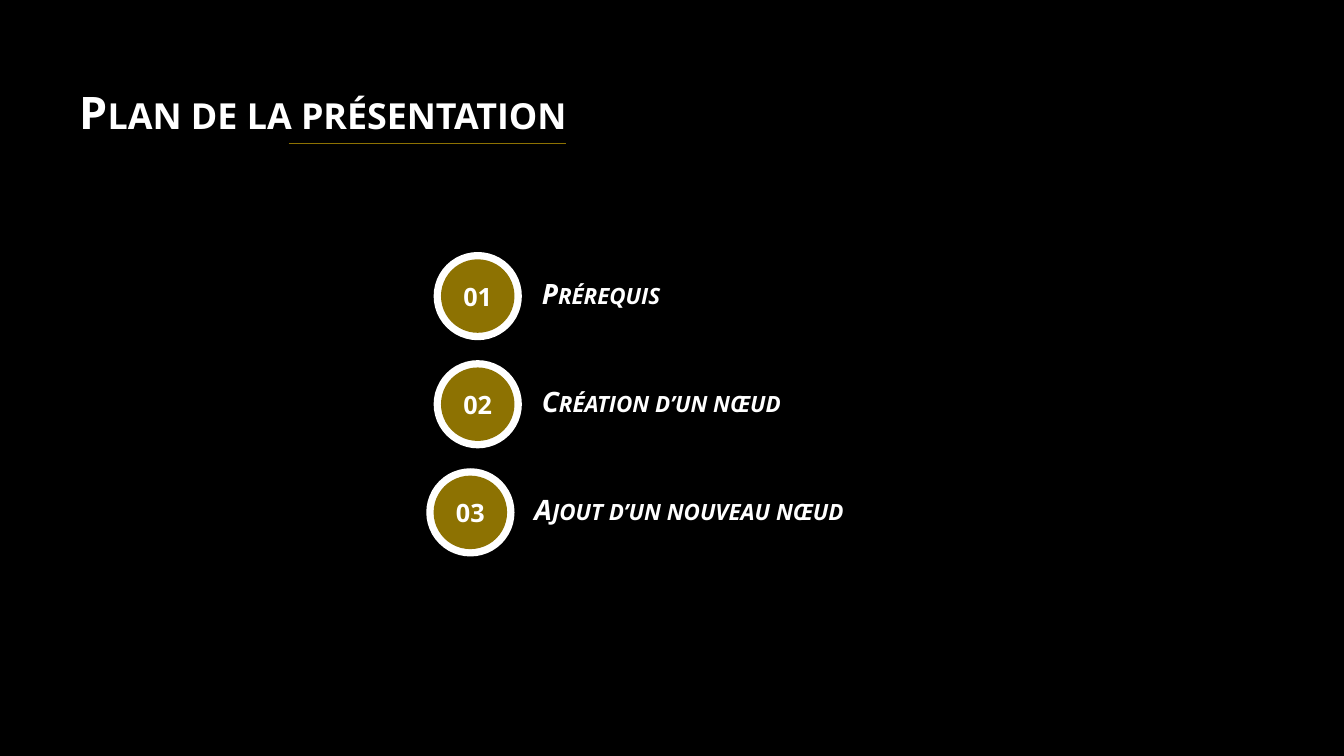
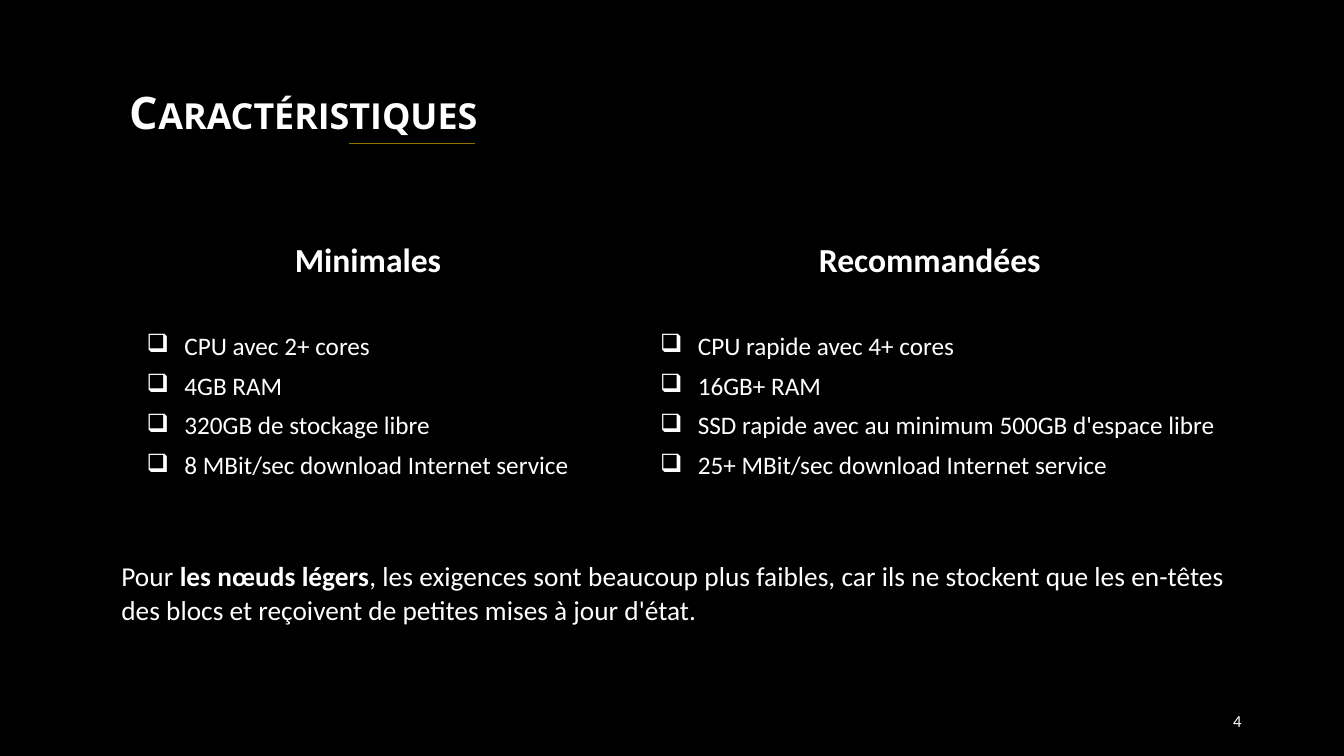
from collections import namedtuple
from dataclasses import dataclass

from lxml import etree
from pptx import Presentation
from pptx.dml.color import RGBColor
from pptx.enum.shapes import MSO_CONNECTOR, MSO_SHAPE
from pptx.enum.text import MSO_ANCHOR, MSO_AUTO_SIZE, PP_ALIGN
from pptx.oxml.ns import qn
from pptx.util import Emu, Pt

ELLIPSE = MSO_SHAPE.OVAL
STRAIGHT = MSO_CONNECTOR.STRAIGHT
TOP, MIDDLE = MSO_ANCHOR.TOP, MSO_ANCHOR.MIDDLE
LEFT, CENTER, RIGHT, JUSTIFY = PP_ALIGN.LEFT, PP_ALIGN.CENTER, PP_ALIGN.RIGHT, PP_ALIGN.JUSTIFY
GROW = MSO_AUTO_SIZE.SHAPE_TO_FIT_TEXT
NO_GRID_STYLE = "{2D5ABB26-0587-4C30-8999-92F81FD0307C}"

Box = namedtuple("Box", "left top width height")


@dataclass(frozen=True)
class Theme:
    night: RGBColor = RGBColor(0x00, 0x00, 0x00)
    white: RGBColor = RGBColor(0xFF, 0xFF, 0xFF)
    gold: RGBColor = RGBColor(0x8D, 0x72, 0x02)
    display: str = "Open Sans"
    body: str = "Calibri"
    rule: float = 0.75

    def font(self, size, name, bold=False, italic=False):
        return {"size": Pt(size), "name": name, "bold": bold, "italic": italic}


THEME = Theme()
TITLE = THEME.font(32, THEME.display, bold=True)
NUMBER = THEME.font(18, THEME.display, bold=True)
TOPIC = THEME.font(20, THEME.display, bold=True, italic=True)
HEADING = THEME.font(24, THEME.body, bold=True)
ITEM = THEME.font(18, THEME.body)
NOTE = THEME.font(19.5, THEME.body)
NOTE_STRONG = THEME.font(19.5, THEME.body, bold=True)
PAGE = THEME.font(12, THEME.body)

PLAN = ["Prérequis", "Création d’un nœud", "Ajout d’un nouveau nœud"]
REQUIREMENTS = [
    ("Minimales", [
        "CPU avec 2+ cores",
        "4GB RAM",
        "320GB de stockage libre",
        "8 MBit/sec download Internet service",
    ]),
    ("Recommandées", [
        "CPU rapide avec 4+ cores",
        "16GB+ RAM",
        "SSD rapide avec au minimum 500GB d'espace libre",
        "25+ MBit/sec download Internet service",
    ]),
]
LIGHT_NODES = [
    ("Pour ", NOTE),
    ("les nœuds légers", NOTE_STRONG),
    (", les exigences sont beaucoup plus faibles, car ils ne stockent que les en-têtes "
     "des blocs et reçoivent de petites mises à jour d'état.", NOTE),
]


def px(length):
    return Emu(length * 9525)


def emu(box):
    return [px(length) for length in box]


def apply(target, values):
    for attribute, value in values.items():
        setattr(target, attribute, value)


def write(paragraph, text, font, small_caps=False, **layout):
    run = paragraph.add_run()
    run.text = text
    apply(run.font, font)
    run.font.color.rgb = THEME.white
    if small_caps:
        run.font._element.set("cap", "small")
    apply(paragraph, layout)


def add_text(slide, box, text, font, anchor=TOP, inset=None, small_caps=False, grow=True, **layout):
    frame = slide.shapes.add_textbox(*emu(box)).text_frame
    apply(frame, {"word_wrap": True, "vertical_anchor": anchor})
    if grow:
        frame.auto_size = GROW
    if inset is not None:
        sides = ("margin_left", "margin_top", "margin_right", "margin_bottom")
        apply(frame, dict.fromkeys(sides, px(inset)))
    write(frame.paragraphs[0], text, font, small_caps, **layout)


def add_disc(slide, box, color):
    disc = slide.shapes.add_shape(ELLIPSE, *emu(box))
    disc.shadow.inherit = False
    disc.fill.solid()
    disc.fill.fore_color.rgb = color
    disc.line.fill.background()
    return disc


def add_slide(deck, title, title_width, rule_start, rule_end):
    slide = deck.slides.add_slide(deck.slide_layouts[6])
    slide.background.fill.solid()
    slide.background.fill.fore_color.rgb = THEME.night
    box = Box(0, 76, title_width, 61)
    add_text(slide, box, title, TITLE, small_caps=True, alignment=RIGHT)
    rule_top = box.top + box.height
    rule = slide.shapes.add_connector(
        STRAIGHT, *emu((rule_start, rule_top, rule_end, rule_top)))
    rule.line.color.rgb = THEME.gold
    rule.line.width = Pt(THEME.rule)
    etree.SubElement(rule._element.spPr, qn("a:effectLst"))
    return slide


def add_plan_entry(slide, box, number, topic):
    ring, border = 84, 7
    core = ring - 2 * border
    add_disc(slide, Box(box.left, box.top, ring, ring), THEME.white)
    disc = add_disc(slide, Box(box.left + border, box.top + border, core, core), THEME.gold)
    disc.text_frame.vertical_anchor = MIDDLE
    write(disc.text_frame.paragraphs[0], f"{number:02d}", NUMBER, alignment=CENTER)
    label = Box(box.left + 93, box.top + 17, box.width - 93, 48)
    add_text(slide, label, topic, TOPIC, MIDDLE, inset=10, small_caps=True,
             alignment=LEFT, line_spacing=0.9)


def add_checkbox(paragraph):
    properties = paragraph._p.get_or_add_pPr()
    properties.set("marL", str(px(60)))
    properties.set("indent", str(px(-36)))
    etree.SubElement(properties, qn("a:buChar")).set("char", "❑")


def fill_requirements(cell, heading, items):
    frame = cell.text_frame
    write(frame.paragraphs[0], heading, HEADING, alignment=CENTER, space_after=Pt(29))
    for item in items:
        paragraph = frame.add_paragraph()
        write(paragraph, item, ITEM, level=1, line_spacing=1.3)
        add_checkbox(paragraph)


def add_requirements(slide, box, first_column, first_row):
    table = slide.shapes.add_table(2, 2, *emu(box)).table
    apply(table, {"first_row": False, "horz_banding": False})
    table._tbl.tblPr.find(qn("a:tableStyleId")).text = NO_GRID_STYLE
    for column, width in zip(table.columns, (first_column, box.width - first_column)):
        column.width = px(width)
    for row, height in zip(table.rows, (first_row, box.height - first_row)):
        row.height = px(height)
    for cell in table.iter_cells():
        cell.fill.background()
    for column, (heading, items) in enumerate(REQUIREMENTS):
        fill_requirements(table.cell(0, column), heading, items)
    note = table.cell(1, 0)
    note.merge(table.cell(1, 1))
    note.margin_top = px(37)
    for text, font in LIGHT_NODES:
        write(note.text_frame.paragraphs[0], text, font, alignment=JUSTIFY)


def build_plan(deck):
    slide = add_slide(deck, "Plan de la présentation", 549, 275, 539)
    entries = [Box(413, 240, 519, 84), Box(413, 343, 519, 84), Box(406, 446, 660, 84)]
    for number, (box, topic) in enumerate(zip(entries, PLAN), start=1):
        add_plan_entry(slide, box, number, topic)


def build_characteristics(deck):
    slide = add_slide(deck, "Caractéristiques", 464, 332, 452)
    add_text(slide, Box(904, 667, 288, 38), "4", PAGE, MIDDLE, grow=False, alignment=RIGHT)
    add_requirements(slide, Box(106, 224, 1070, 378), first_column=489, first_row=273)


def main():
    deck = Presentation()
    apply(deck, {"slide_width": px(1280), "slide_height": px(720)})
    build_plan(deck)
    build_characteristics(deck)
    deck.save("out.pptx")


if __name__ == "__main__":
    main()
